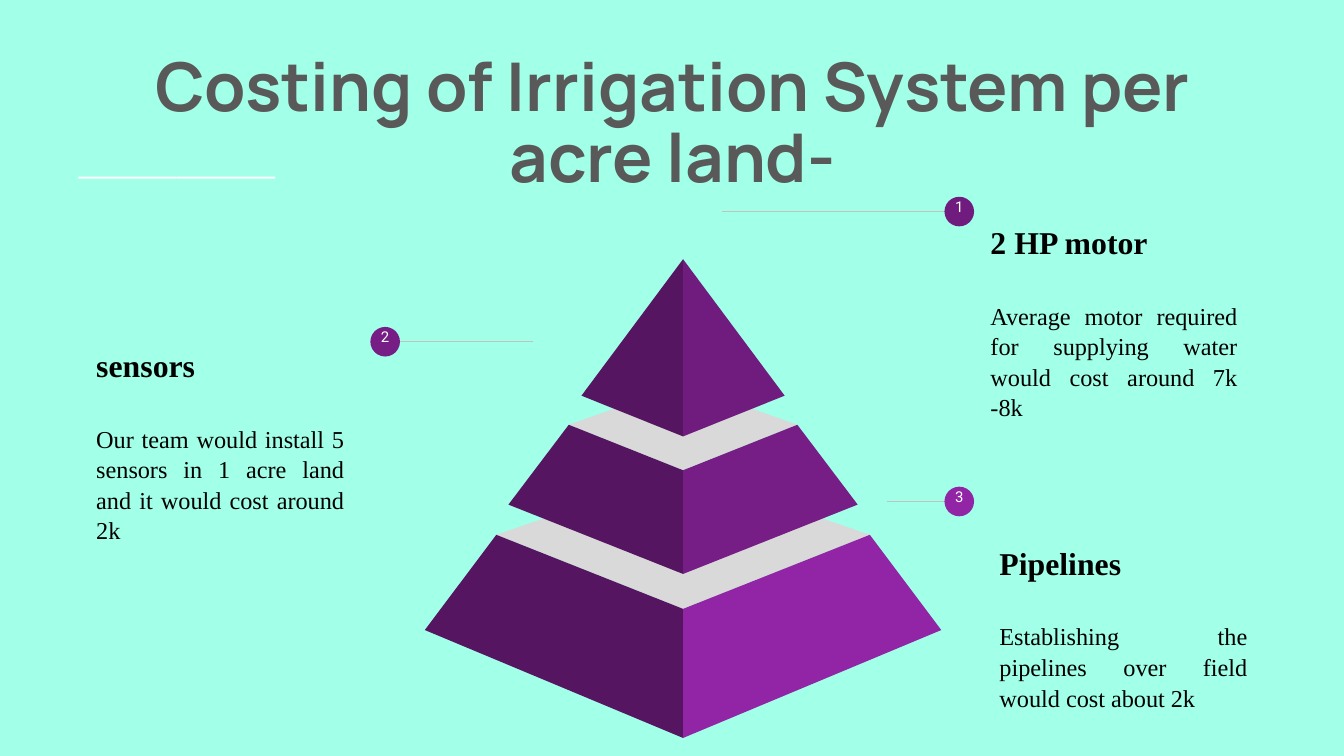
from lxml import etree
from pptx import Presentation
from pptx.dml.color import RGBColor
from pptx.enum.shapes import MSO_CONNECTOR, MSO_SHAPE
from pptx.enum.text import MSO_ANCHOR, MSO_AUTO_SIZE, PP_ALIGN
from pptx.oxml.ns import qn
from pptx.util import Cm, Pt

STRAIGHT = MSO_CONNECTOR.STRAIGHT
RECTANGLE, OVAL = MSO_SHAPE.RECTANGLE, MSO_SHAPE.OVAL
TOP, MIDDLE = MSO_ANCHOR.TOP, MSO_ANCHOR.MIDDLE
CENTER, JUSTIFY = PP_ALIGN.CENTER, PP_ALIGN.JUSTIFY

COLORS = {
    "background": "A2FFE8",
    "title": "595959",
    "text": "000000",
    "white": "FFFFFF",
    "line": "C2C2C2",
    "ledge": "D9D9D9",
    "shade": "551561",
    "tip": "701C7F",
    "middle": "761E86",
    "base": "9225A5",
}


def paint(shape, color):
    shape.shadow.inherit = False
    shape.fill.solid()
    shape.fill.fore_color.rgb = RGBColor.from_string(COLORS[color])
    shape.line.fill.background()


def style(paragraph, font_name, size, color, alignment, bold=False):
    paragraph.alignment = alignment
    font = paragraph.font
    font.name, font.size, font.bold = font_name, Pt(size), bold
    font.color.rgb = RGBColor.from_string(COLORS[color])


deck = Presentation()
deck.slide_width, deck.slide_height = Cm(25.4), Cm(14.29)
page = deck.slides.add_slide(deck.slide_layouts[5])
page.background.fill.solid()
page.background.fill.fore_color.rgb = RGBColor.from_string(COLORS["background"])

# Accent rule: two bars end to end
for left in (1.48, 3.34):
    bar = page.shapes.add_shape(RECTANGLE, Cm(left), Cm(3.34), Cm(1.86), Cm(0.04))
    paint(bar, "white")

# Title
title = page.shapes.title
title.left, title.top, title.width, title.height = Cm(2.03), Cm(0.69), Cm(21.36), Cm(4.22)
frame = title.text_frame
frame.text = "Costing of Irrigation System per acre land-"
frame.auto_size = MSO_AUTO_SIZE.NONE
frame.vertical_anchor = TOP
frame.margin_left = frame.margin_right = frame.margin_bottom = Cm(0.25)
frame.margin_top = Cm(0.35)
frame.paragraphs[0].line_spacing = 0.88
style(frame.paragraphs[0], "Manrope", 36, "title", CENTER, bold=True)

# Callouts: number, color, circle (left, top), line (from, to), text box, wording
callouts = [
    ("3", "base", (17.85, 9.2), (16.76, 18.39), (18.64, 9.93, 5.18, 3.84),
     "Pipelines", "Establishing the pipelines over field would cost about 2k"),
    ("2", "middle", (7.0, 6.18), (10.08, 7.19), (1.57, 6.48, 5.18, 3.84),
     "sensors", "Our team would install 5 sensors in 1 acre land and it would cost around 2k"),
    ("1", "tip", (17.85, 3.72), (13.64, 18.39), (18.47, 4.27, 5.16, 3.61),
     "2 HP motor", "Average motor required for supplying water would cost around 7k -8k"),
]
DIAMETER = 0.56
for number, color, (left, top), (start, end), place, heading, detail in callouts:
    middle = Cm(top + DIAMETER / 2)
    leader = page.shapes.add_connector(STRAIGHT, Cm(start), middle, Cm(end), middle)
    leader.line.color.rgb = RGBColor.from_string(COLORS["line"])
    leader.line.width = Pt(0.75)
    etree.SubElement(leader._element.spPr, qn("a:effectLst"))

    circle = page.shapes.add_shape(OVAL, Cm(left), Cm(top), Cm(DIAMETER), Cm(DIAMETER))
    paint(circle, color)

    number_place = (left - 0.07, top - 0.16, 0.7, 0.86)
    for (x, y, width, height), lines, anchor in (
        (place, [heading, detail], MIDDLE),
        (number_place, [number], TOP),
    ):
        box = page.shapes.add_textbox(Cm(x), Cm(y), Cm(width), Cm(height))
        frame = box.text_frame
        frame.word_wrap = True
        frame.vertical_anchor = anchor
        frame.margin_left = frame.margin_right = Cm(0.25)
        frame.margin_top = frame.margin_bottom = Cm(0.25)
        frame.text = "\n".join(lines)
        if anchor == TOP:
            style(frame.paragraphs[0], "Roboto", 8, "white", CENTER)
            continue
        name, description = frame.paragraphs
        style(name, "Times New Roman", 17, "text", JUSTIFY, bold=True)
        style(description, "Times New Roman", 13, "text", JUSTIFY)
        name.line_spacing = description.line_spacing = 1.05
        name.space_after = Pt(20.5)

# Pyramid: corners as (distance from the axis, height on the page)
AXIS = 12.91
tiers = [
    ("base", [(3.53, 10.11), (4.88, 11.91), (0, 13.95), (0, 11.51)], 8.89),
    ("middle", [(2.16, 8.03), (3.3, 9.54), (0, 10.85), (0, 8.89)], 7.26),
    ("tip", [(0, 4.9), (1.92, 7.48), (0, 8.25)], None),
]
for color, face, ledge_top in tiers:
    left_face, right_face = [
        [(AXIS + side * reach, y) for reach, y in face] for side in (-1, 1)
    ]
    outlines = [("shade", left_face), (color, right_face)]
    if ledge_top:
        ledge = [left_face[0], left_face[-1], right_face[0], (AXIS, ledge_top)]
        outlines.insert(0, ("ledge", ledge))
    for fill, corners in outlines:
        points = [(Cm(x), Cm(y)) for x, y in corners]
        builder = page.shapes.build_freeform(*points[0])
        builder.add_line_segments(points[1:], close=True)
        paint(builder.convert_to_shape(), fill)

deck.save("out.pptx")
